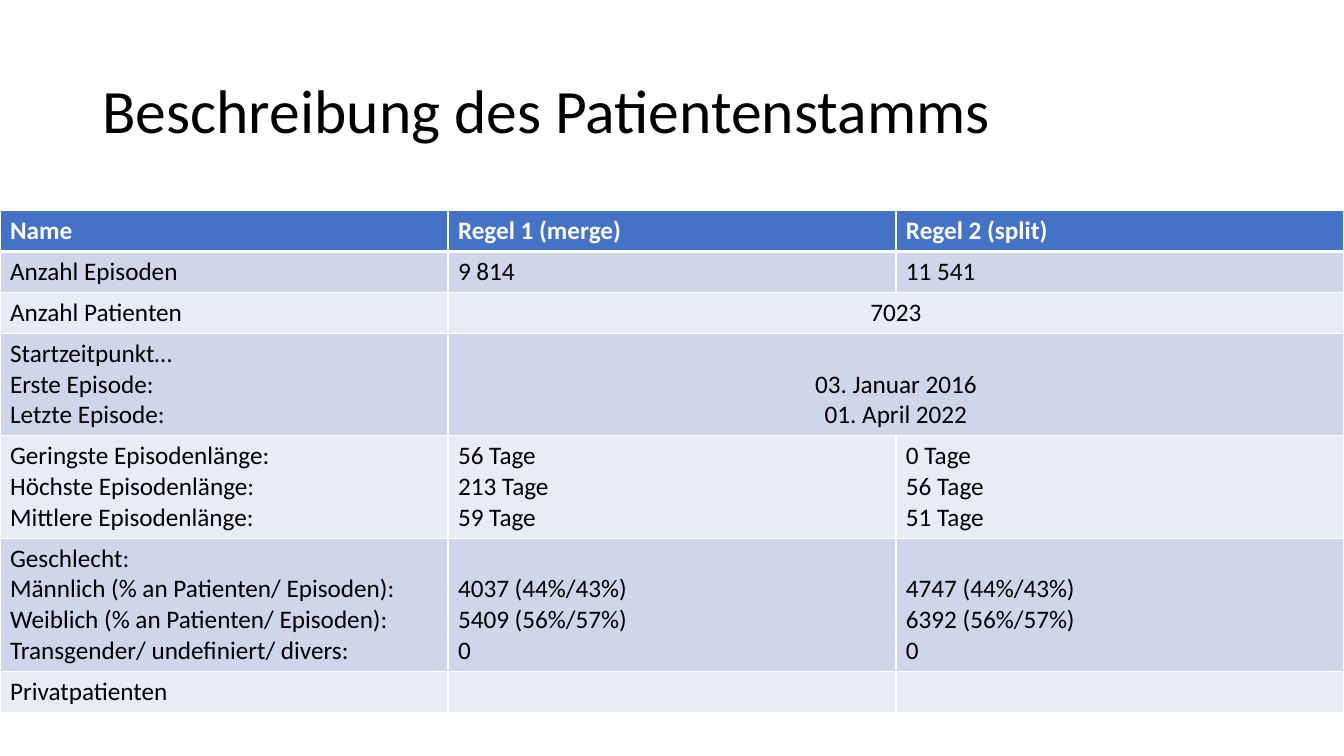
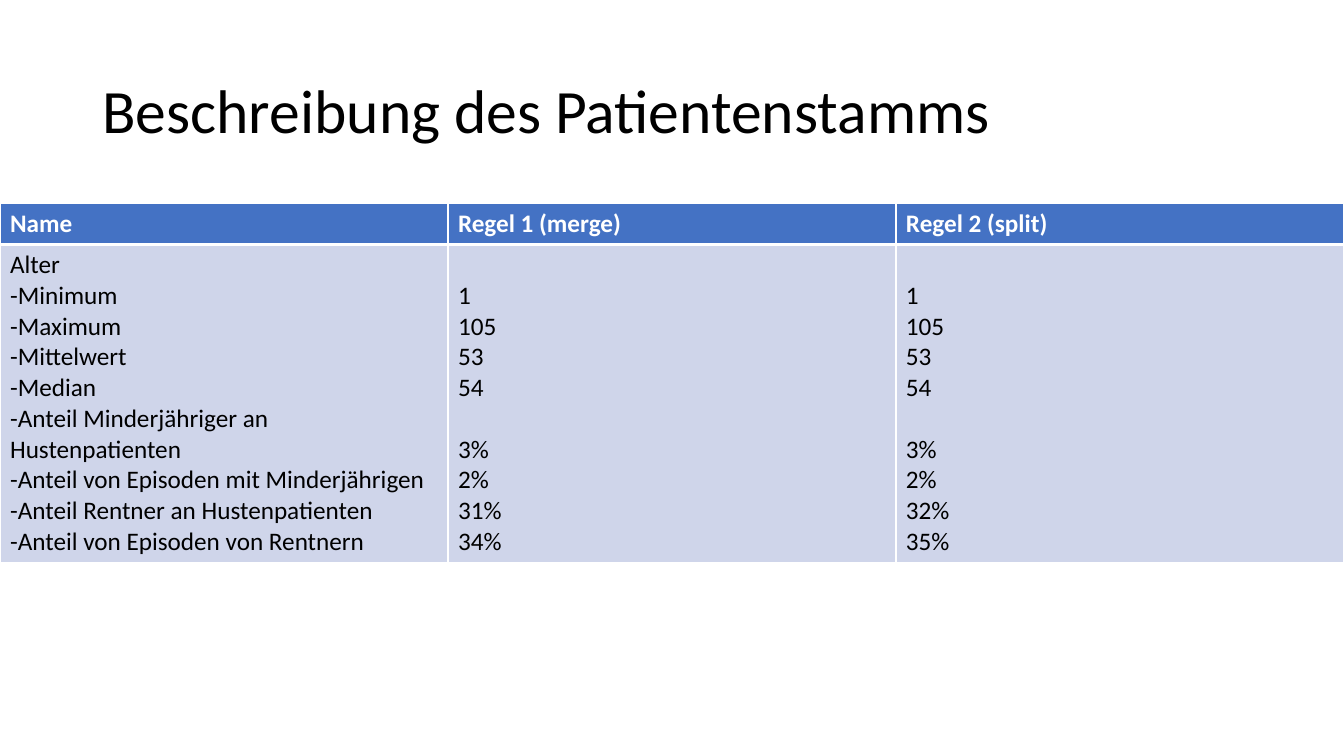
from dataclasses import dataclass

from lxml import etree
from pptx import Presentation
from pptx import util as u
from pptx.dml.color import RGBColor
from pptx.enum import text
from pptx.oxml import ns


@dataclass(frozen=True)
class Theme:
    font: str = "Calibri"
    title_size: int = 44
    table_size: int = 18
    ink: str = "000000"
    paper: str = "FFFFFF"
    header: str = "4472C4"
    bands: tuple = ("CFD5EA", "E9EBF5")
    line: float = 1
    header_line: float = 3


THEME = Theme()
SLIDE_WIDTH, SLIDE_HEIGHT = 33.87, 19.05
TITLE_BOX = (2.33, 1.01, 29.21, 3.68)
LINE_HEIGHT, ROW_PADDING = 0.775, 0.254

TITLE = "Beschreibung des Patientenstamms"
HEADER = ("Name", "Regel 1 (merge)", "Regel 2 (split)")

# Each cell is a list of lines; "" leaves one line free above the next.
# A row with only two cells lets the second span both rule columns.
BASIC_ROWS = [
    (["Anzahl Episoden"], ["9 814"], ["11 541"]),
    (["Anzahl Patienten"], ["7023"]),
    (["Startzeitpunkt…", "Erste Episode:", "Letzte Episode:"],
     ["", "03. Januar 2016", "01. April 2022"]),
    (["Geringste Episodenlänge:", "Höchste Episodenlänge:", "Mittlere Episodenlänge:"],
     ["56 Tage", "213 Tage", "59 Tage"],
     ["0 Tage", "56 Tage", "51 Tage"]),
    (["Geschlecht:", "Männlich (% an Patienten/ Episoden):",
      "Weiblich (% an Patienten/ Episoden):", "Transgender/ undefiniert/ divers:"],
     ["", "4037 (44%/43%)", "5409 (56%/57%)", "0"],
     ["", "4747 (44%/43%)", "6392 (56%/57%)", "0"]),
    (["Privatpatienten"], [], []),
]
AGE_ROWS = [
    (["Alter", "-Minimum", "-Maximum", "-Mittelwert", "-Median",
      "-Anteil Minderjähriger an Hustenpatienten",
      "-Anteil von Episoden mit Minderjährigen",
      "-Anteil Rentner an Hustenpatienten",
      "-Anteil von Episoden von Rentnern"],
     ["", "1", "105", "53", "54", "", "3%", "2%", "31%", "34%"],
     ["", "1", "105", "53", "54", "", "3%", "2%", "32%", "35%"]),
]
SLIDES = [(5.31, BASIC_ROWS), (5.13, AGE_ROWS)]


def format_runs(paragraph, size, color, bold=False):
    for run in paragraph.runs:
        run.font.name = THEME.font
        run.font.size = u.Pt(size)
        run.font.bold = bold
        run.font.color.rgb = RGBColor.from_string(color)


def add_title(slide):
    title = slide.shapes.title
    title.left, title.top, title.width, title.height = map(u.Cm, TITLE_BOX)
    frame = title.text_frame
    frame.text = TITLE
    frame.auto_size = text.MSO_AUTO_SIZE.NONE
    frame.vertical_anchor = text.MSO_ANCHOR.MIDDLE
    paragraph = frame.paragraphs[0]
    paragraph.alignment = text.PP_ALIGN.LEFT
    paragraph.line_spacing = 0.9
    format_runs(paragraph, THEME.title_size, THEME.ink)


def set_borders(cell, top, bottom):
    """Draw the four cell borders; widths are in points."""
    properties = cell._tc.get_or_add_tcPr()
    widths = {"L": THEME.line, "R": THEME.line, "T": top, "B": bottom}
    for position, (side, width) in enumerate(widths.items()):
        line = etree.Element(ns.qn(f"a:ln{side}"), w=str(u.Pt(width)))
        fill = etree.SubElement(line, ns.qn("a:solidFill"))
        etree.SubElement(fill, ns.qn("a:srgbClr"), val=THEME.paper)
        properties.insert(position, line)


def write_lines(cell, lines, color, bold, alignment):
    """Write lines from the bottom up, so a leading gap needs no spacing."""
    cell.vertical_anchor = text.MSO_ANCHOR.BOTTOM
    cell.text_frame.text = "\n".join(filter(None, lines))
    gaps = [before == "" for before, line in zip([None, *lines], lines) if line]
    for index, paragraph in enumerate(cell.text_frame.paragraphs):
        paragraph.alignment = alignment
        if index and gaps[index]:
            paragraph.space_before = u.Cm(LINE_HEIGHT)
        format_runs(paragraph, THEME.table_size, color, bold)


def add_table(slide, top, body):
    rows = [tuple([name] for name in HEADER), *body]
    heights = [max(map(len, row)) * LINE_HEIGHT + ROW_PADDING for row in rows]
    table = slide.shapes.add_table(
        len(rows), len(HEADER), 0, u.Cm(top), u.Cm(SLIDE_WIDTH), u.Cm(sum(heights))).table
    for column in table.columns:
        column.width = u.Cm(SLIDE_WIDTH / len(HEADER))

    for row_index, (row, height) in enumerate(zip(rows, heights)):
        table.rows[row_index].height = u.Cm(height)
        is_header = row_index == 0
        fill = THEME.header if is_header else THEME.bands[(row_index - 1) % 2]
        for column_index in range(len(HEADER)):
            cell = table.cell(row_index, column_index)
            cell.fill.solid()
            cell.fill.fore_color.rgb = RGBColor.from_string(fill)
            set_borders(cell,
                        top=THEME.header_line if row_index == 1 else THEME.line,
                        bottom=THEME.header_line if is_header else THEME.line)
        spans = len(row) < len(HEADER)
        if spans:
            table.cell(row_index, 1).merge(table.cell(row_index, 2))
        for column_index, lines in enumerate(row):
            centred = spans and column_index == 1
            write_lines(table.cell(row_index, column_index), lines,
                        THEME.paper if is_header else THEME.ink, is_header,
                        text.PP_ALIGN.CENTER if centred else text.PP_ALIGN.LEFT)


def main():
    presentation = Presentation()
    presentation.slide_width = u.Cm(SLIDE_WIDTH)
    presentation.slide_height = u.Cm(SLIDE_HEIGHT)
    title_only = presentation.slide_layouts.get_by_name("Title Only")
    for table_top, rows in SLIDES:
        slide = presentation.slides.add_slide(title_only)
        add_title(slide)
        add_table(slide, table_top, rows)
    presentation.save("out.pptx")


if __name__ == "__main__":
    main()
